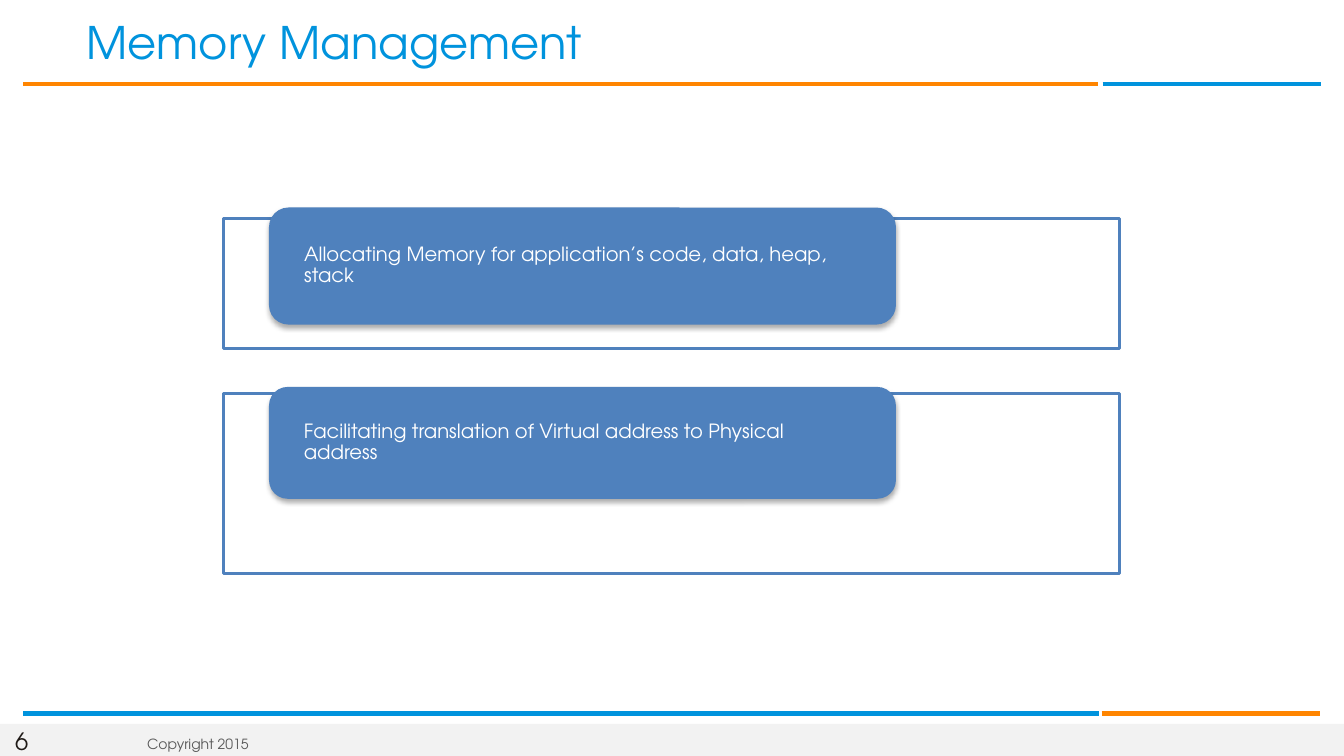
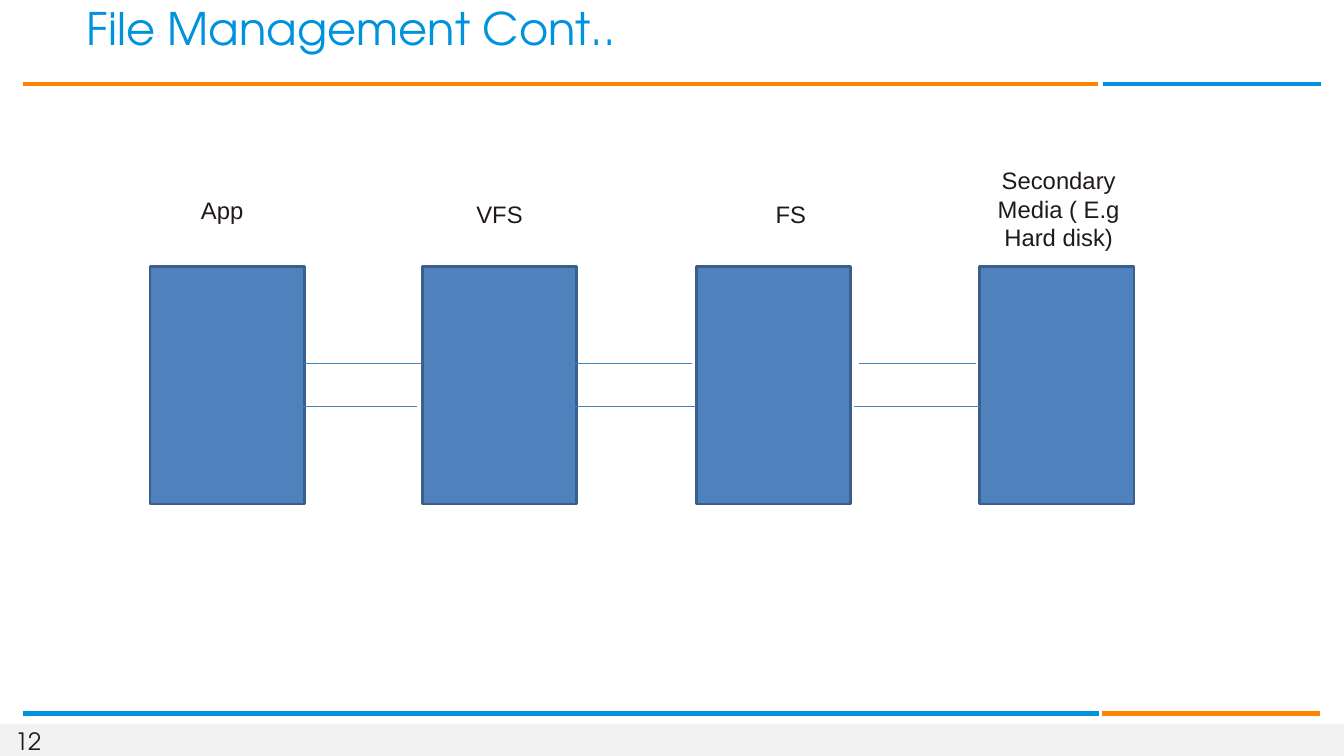
from lxml import etree
from pptx import Presentation
from pptx.dml.color import RGBColor
from pptx.enum.shapes import MSO_CONNECTOR, MSO_SHAPE
from pptx.enum.text import MSO_ANCHOR, MSO_AUTO_SIZE, PP_ALIGN
from pptx.oxml.ns import qn
from pptx.util import Cm, Pt

RECT, ROUND = MSO_SHAPE.RECTANGLE, MSO_SHAPE.ROUNDED_RECTANGLE
STRAIGHT = MSO_CONNECTOR.STRAIGHT
MIDDLE, NO_FIT = MSO_ANCHOR.MIDDLE, MSO_AUTO_SIZE.NONE
LEFT, CENTER = PP_ALIGN.LEFT, PP_ALIGN.CENTER
TITLE_ONLY = 5

WHITE = RGBColor(0xFF, 0xFF, 0xFF)
INK = RGBColor(0x1F, 0x1A, 0x17)
GRAY = RGBColor(0x59, 0x59, 0x59)
PALE = RGBColor(0xF2, 0xF2, 0xF2)
SKY = RGBColor(0x00, 0x93, 0xDD)
ORANGE = RGBColor(0xFF, 0x85, 0x00)
BLUE = RGBColor(0x4F, 0x81, 0xBD)
EDGE = RGBColor(0x3A, 0x5F, 0x8C)
LINK = RGBColor(0x4B, 0x7E, 0xBC)
HEAD_FONT, BODY_FONT = "TeX Gyre Adventor", "Arial"
WIDTH, HEIGHT = 33.87, 19.05


def write(tf, text, size=17, font=HEAD_FONT, color=INK, align=LEFT,
          spacing=1.0, insets=(0, 0, 0, 0)):
    """Put one formatted paragraph in a text frame; insets in cm."""
    tf.auto_size, tf.word_wrap, tf.vertical_anchor = NO_FIT, True, MIDDLE
    tf.margin_left, tf.margin_top, tf.margin_right, tf.margin_bottom = map(Cm, insets)
    p = tf.paragraphs[0]
    p.alignment, p.line_spacing = align, spacing
    r = p.add_run()
    r.text = text
    r.font.size, r.font.name, r.font.color.rgb = Pt(size), font, color


class Deck:
    def __init__(self):
        self.prs = Presentation()
        self.prs.slide_width, self.prs.slide_height = Cm(WIDTH), Cm(HEIGHT)
        self.s = None

    def slide(self, title, number, title_top):
        """Start a slide with its title, rules and footer band."""
        self.s = self.prs.slides.add_slide(self.prs.slide_layouts[TITLE_ONLY])
        self.shape(RECT, 0, 18.24, WIDTH, 0.81, PALE)
        self.text(str(number), 0.38, 18.29, 1, 0.74)
        self.line(0.58, 27.66, 2.11, ORANGE, 3)
        self.line(27.79, 33.3, 2.11, SKY, 3)
        self.line(0.58, 27.69, 17.98, SKY, 3)
        self.line(27.76, 33.27, 17.98, ORANGE, 3)
        sp = self.s.shapes.title
        sp.left, sp.top, sp.width, sp.height = map(Cm, (1.85, title_top, 32.02, 1.37))
        write(sp.text_frame, title, size=32, color=SKY,
              insets=(0.33, 0.15, 0.18, 0.15))

    def shape(self, kind, x, y, w, h, fill, line=None):
        sp = self.s.shapes.add_shape(kind, Cm(x), Cm(y), Cm(w), Cm(h))
        sp.shadow.inherit = False
        sp.fill.solid()
        sp.fill.fore_color.rgb = fill
        if line is None:
            sp.line.fill.background()
        else:
            sp.line.color.rgb, sp.line.width = line, Pt(2)
        return sp

    def text(self, text, x, y, w, h, **fmt):
        sp = self.s.shapes.add_textbox(Cm(x), Cm(y), Cm(w), Cm(h))
        write(sp.text_frame, text, **fmt)

    def line(self, x1, x2, y, color, width):
        """Draw a horizontal line without a shadow."""
        cx = self.s.shapes.add_connector(STRAIGHT, Cm(x1), Cm(y), Cm(x2), Cm(y))
        cx.line.color.rgb, cx.line.width = color, Pt(width)
        etree.SubElement(cx._element.spPr, qn("a:effectLst"))

    def card(self, text, y, h, frame_y, frame_h):
        """Draw a rounded, shadowed label on top of an outlined frame."""
        self.shape(RECT, 5.64, frame_y, 22.58, frame_h, WHITE, BLUE)
        sp = self.shape(ROUND, 6.78, y, 15.8, h, BLUE)
        effects = sp._element.spPr.find(qn("a:effectLst"))
        shadow = etree.SubElement(effects, qn("a:outerShdw"), blurRad=str(Pt(3.5)),
                                  dist=str(Pt(2.2)), dir="5400000", rotWithShape="0")
        black = etree.SubElement(shadow, qn("a:srgbClr"), val="000000")
        etree.SubElement(black, qn("a:alpha"), val="32000")
        write(sp.text_frame, text, size=14, color=WHITE, spacing=0.9,
              insets=(0.74, 0, 0.74, 0))


deck = Deck()

# Memory management: two cards
deck.slide("Memory Management", 6, title_top=0.36)
deck.text("Copyright 2015", 3.38, 18.54, 9.68, 0.41, size=10, color=GRAY,
          insets=(0.33, 0.18, 0.33, 0.18))
deck.card("Allocating Memory for application’s code, data, heap, stack",
          5.23, 2.95, 5.51, 3.28)
deck.card("Facilitating translation of Virtual address to Physical address",
          9.75, 2.82, 9.91, 4.55)

# File management: a chain of layers
deck.slide("File Management Cont..", 12, title_top=0)
layers = [  # label, box left, label left, label top, label height
    ("App", 3.78, 3.53, 4.78, 1.04),
    ("VFS", 10.64, 10.52, 4.88, 1.04),
    ("FS", 17.55, 17.86, 4.88, 1.04),
    ("Secondary Media ( E.g Hard disk)", 24.69, 24.61, 4.01, 2.49),
]
for label, box_x, x, y, h in layers:
    deck.shape(RECT, box_x, 6.71, 3.89, 5.99, BLUE, EDGE)
    deck.text(label, x, y, 4.14, h, font=BODY_FONT, align=CENTER,
              insets=(0.3, 0.15, 0.3, 0.15))

# Links between the layers, upper and lower
links = {
    9.17: [(7.67, 10.64), (14.48, 17.45), (21.64, 24.59)],
    10.24: [(7.57, 10.52), (14.38, 17.55), (21.51, 24.69)],
}
for y, spans in links.items():
    for x1, x2 in spans:
        deck.line(x1, x2, y, LINK, 0.75)

deck.prs.save("out.pptx")
